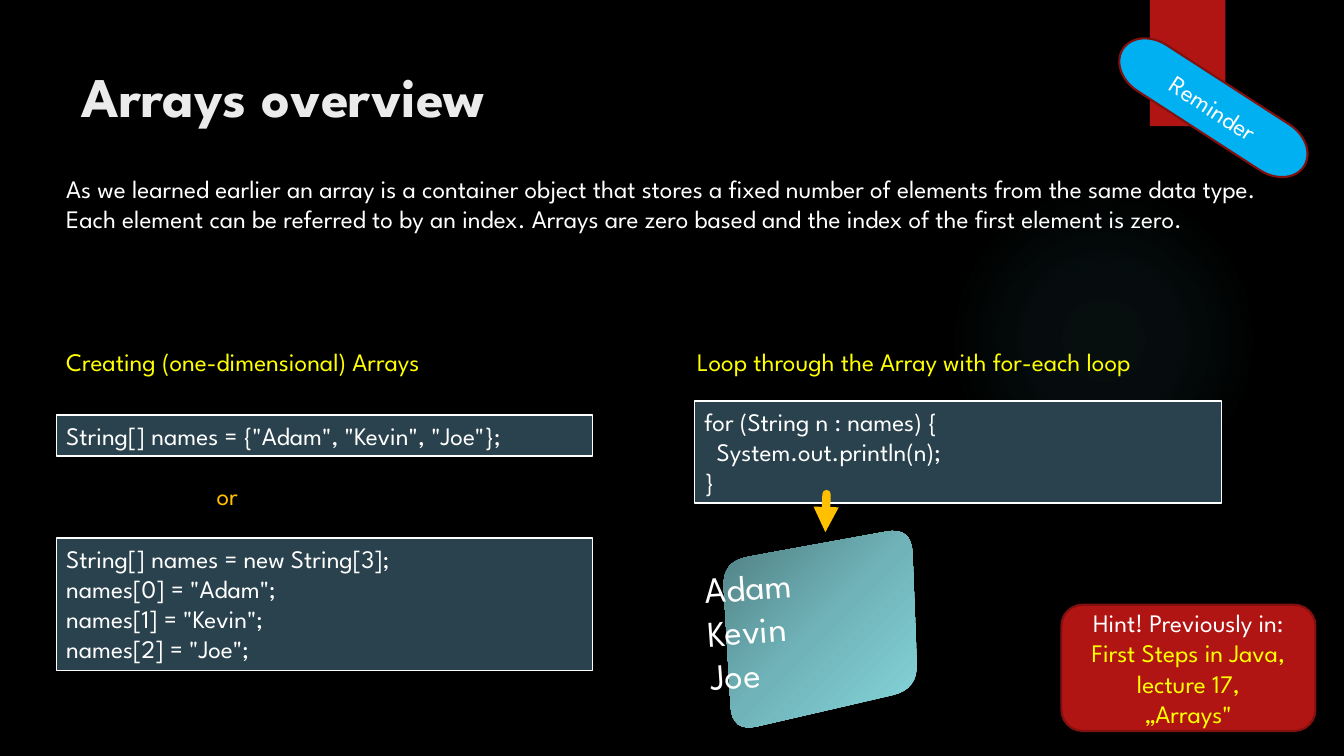
from dataclasses import dataclass

from lxml import etree
from pptx import Presentation
from pptx import util as u
from pptx.dml.color import RGBColor
from pptx.enum import shapes, text
from pptx.oxml import parse_xml
from pptx.oxml.ns import nsdecls, qn

SHAPE = shapes.MSO_SHAPE
LEFT, CENTER = text.PP_ALIGN.LEFT, text.PP_ALIGN.CENTER
TOP, MIDDLE = text.MSO_ANCHOR.TOP, text.MSO_ANCHOR.MIDDLE


@dataclass(frozen=True)
class Theme:
    font: str = "League Spartan"
    title_size: int = 40
    body_size: int = 18
    output_size: int = 26
    background: str = "000000"
    title: str = "EBEBEB"
    body: str = "FFFFFF"
    heading: str = "FFFF00"
    accent: str = "FFC000"
    code_fill: str = "2A424D"
    red: str = "B01513"
    dark_red: str = "82100E"
    blue: str = "00B0F0"
    # Gradient stops: position %, colour, opacity %
    glow: tuple = ((0, "50B9C1", 7), (36, "50B9C1", 6), (69, "50B9C1", 0))
    output: tuple = ((0, "4F7E82", 100), (50, "70B4B9", 100), (100, "85D5DB", 100))


def rgb(value):
    return RGBColor.from_string(value)


def cm(*lengths):
    return [u.Cm(length) for length in lengths]


class SlideBuilder:
    def __init__(self, slide, theme):
        self.slide, self.theme = slide, theme
        slide.background.fill.solid()
        slide.background.fill.fore_color.rgb = rgb(theme.background)

    def set_lines(self, shape, lines, size=None, color=None, align=LEFT, anchor=TOP,
                  bold=False):
        """Lines are strings, or (string, colour) pairs."""
        frame = shape.text_frame
        frame.word_wrap = True
        frame.auto_size = text.MSO_AUTO_SIZE.NONE
        frame.vertical_anchor = anchor
        for i, line in enumerate(lines):
            words, line_color = line if isinstance(line, tuple) else (line, color)
            paragraph = frame.add_paragraph() if i else frame.paragraphs[0]
            paragraph.text = words
            paragraph.alignment = align
            font = paragraph.font
            font.name, font.bold = self.theme.font, bold
            font.size = u.Pt(size or self.theme.body_size)
            font.color.rgb = rgb(line_color or self.theme.body)

    def paint(self, shape, fill=None, line=None, width=1.5):
        shape.shadow.inherit = False
        if fill:
            shape.fill.solid()
            shape.fill.fore_color.rgb = rgb(fill)
        if line:
            shape.line.color.rgb = rgb(line)
            shape.line.width = u.Pt(width)
        else:
            shape.line.fill.background()

    def radial(self, shape, stops, left, top, right, bottom):
        marks = "".join(
            f'<a:gs pos="{pos * 1000}"><a:srgbClr val="{color}">'
            f'<a:alpha val="{alpha * 1000}"/></a:srgbClr></a:gs>'
            for pos, color, alpha in stops)
        gradient = parse_xml(
            f'<a:gradFill {nsdecls("a")} rotWithShape="1"><a:gsLst>{marks}</a:gsLst>'
            f'<a:path path="circle"><a:fillToRect l="{left * 1000}" t="{top * 1000}" '
            f'r="{right * 1000}" b="{bottom * 1000}"/></a:path></a:gradFill>')
        shape.fill.background()
        properties = shape._element.spPr
        properties.replace(properties.find(qn("a:noFill")), gradient)

    def title(self, words, box):
        title = self.slide.shapes.title
        title.left, title.top, title.width, title.height = cm(*box)
        self.set_lines(title, [words], self.theme.title_size, self.theme.title,
                       anchor=MIDDLE, bold=True)

    def label(self, lines, box, rotation=0, **style):
        label = self.slide.shapes.add_textbox(*cm(*box))
        label.rotation = rotation
        self.set_lines(label, lines, **style)

    def block(self, kind, box, fill=None, line=None, width=1.5, lines=(), rotation=0, **style):
        block = self.slide.shapes.add_shape(kind, *cm(*box))
        block.rotation = rotation
        self.paint(block, fill, line, width)
        if lines:
            self.set_lines(block, lines, **style)
        return block

    def code(self, lines, box):
        self.block(SHAPE.RECTANGLE, box, self.theme.code_fill, self.theme.body, 1, lines)

    def tilted_panel(self, corners, rounding, stops):
        """Four-sided panel; each corner is a sampled quadratic curve."""
        outline = []
        for i, corner in enumerate(corners):
            ends = []
            for other in (corners[i - 1], corners[(i + 1) % len(corners)]):
                length = sum((b - a) ** 2 for a, b in zip(corner, other)) ** 0.5
                ends.append([a + (b - a) * rounding / length for a, b in zip(corner, other)])
            for t in (step / 8 for step in range(9)):
                outline.append(tuple(
                    u.Cm((1 - t) ** 2 * a + 2 * t * (1 - t) * b + t ** 2 * c)
                    for a, b, c in zip(ends[0], corner, ends[1])))
        builder = self.slide.shapes.build_freeform(*outline[0])
        builder.add_line_segments(outline[1:], close=True)
        panel = builder.convert_to_shape()
        self.paint(panel)
        self.radial(panel, stops, 0, 0, 100, 100)

    def arrow(self, start, end):
        arrow = self.slide.shapes.add_connector(
            shapes.MSO_CONNECTOR.STRAIGHT, *cm(*start, *end))
        arrow.line.color.rgb = rgb(self.theme.accent)
        arrow.line.width = u.Pt(6)
        line = arrow._element.spPr.find(qn("a:ln"))
        line.set("cap", "rnd")
        etree.SubElement(line, qn("a:tailEnd"), type="triangle")
        etree.SubElement(arrow._element.spPr, qn("a:effectLst"))


def main():
    deck = Presentation()
    deck.slide_width, deck.slide_height = cm(33.87, 19.05)
    theme = Theme()
    page = SlideBuilder(deck.slides.add_slide(deck.slide_layouts[5]), theme)
    left, right = 1.42, 17.5
    code_width, line_height = 13.51, 1.03

    # Backdrop
    glow = page.block(SHAPE.OVAL, (23.9, 4.65, 7.82, 7.82))
    page.radial(glow, theme.glow, 50, 50, 50, 50)
    page.block(SHAPE.RECTANGLE, (28.98, 0, 1.9, 3.18), theme.red)

    # Title and introduction
    page.title("Arrays overview", (1.8, 1.27, 27.33, 2.24))
    page.label(["As we learned earlier an array is a container object that stores a fixed "
                "number of elements from the same data type. Each element can be referred "
                "to by an index. Arrays are zero based and the index of the first element "
                "is zero."], (left, 4.24, 30.99, 2.57))

    # Creating arrays
    page.label(["Creating (one-dimensional) Arrays"], (left, 8.61, 13.72, line_height),
               color=theme.heading)
    page.code(['String[] names = {"Adam", "Kevin", "Joe"};'],
              (left, 10.46, code_width, line_height))
    page.label(["or"], (5.21, 11.99, 1.35, line_height), color=theme.accent)
    page.code(["String[] names = new String[3];", 'names[0] = "Adam";',
               'names[1] = "Kevin";', 'names[2] = "Joe";'],
              (left, 13.56, code_width, 3.33))

    # Looping and its output
    page.label(["Loop through the Array with for-each loop"],
               (17.32, 8.61, 14.12, line_height), color=theme.heading)
    page.code(["for (String n : names) {", "  System.out.println(n);", "}"],
              (right, 10.11, 13.28, 2.57))
    page.tilted_panel([(18.2, 14.15), (22.97, 13.28), (23.13, 17.37), (18.45, 18.45)],
                      0.65, theme.output)
    page.label(["Adam", "Kevin", "Joe"], (17.6, 13.95, 6.65, 4.11), rotation=-4,
               size=theme.output_size)
    page.arrow((20.83, 12.45), (20.8, 13.41))

    # Reminder and hint badges
    page.block(SHAPE.FLOWCHART_TERMINATOR, (27.86, 2.03, 5.44, 1.37), theme.blue,
               theme.dark_red, lines=["Reminder"], rotation=32.9,
               align=CENTER, anchor=MIDDLE)
    page.block(SHAPE.FLOWCHART_ALTERNATE_PROCESS, (26.75, 15.24, 6.4, 3.18), theme.red,
               theme.dark_red, lines=["Hint! Previously in:",
                                      ("First Steps in Java, lecture 17,", theme.heading),
                                      ("„Arrays\"", theme.heading)],
               align=CENTER, anchor=MIDDLE)

    deck.save("out.pptx")


if __name__ == "__main__":
    main()
